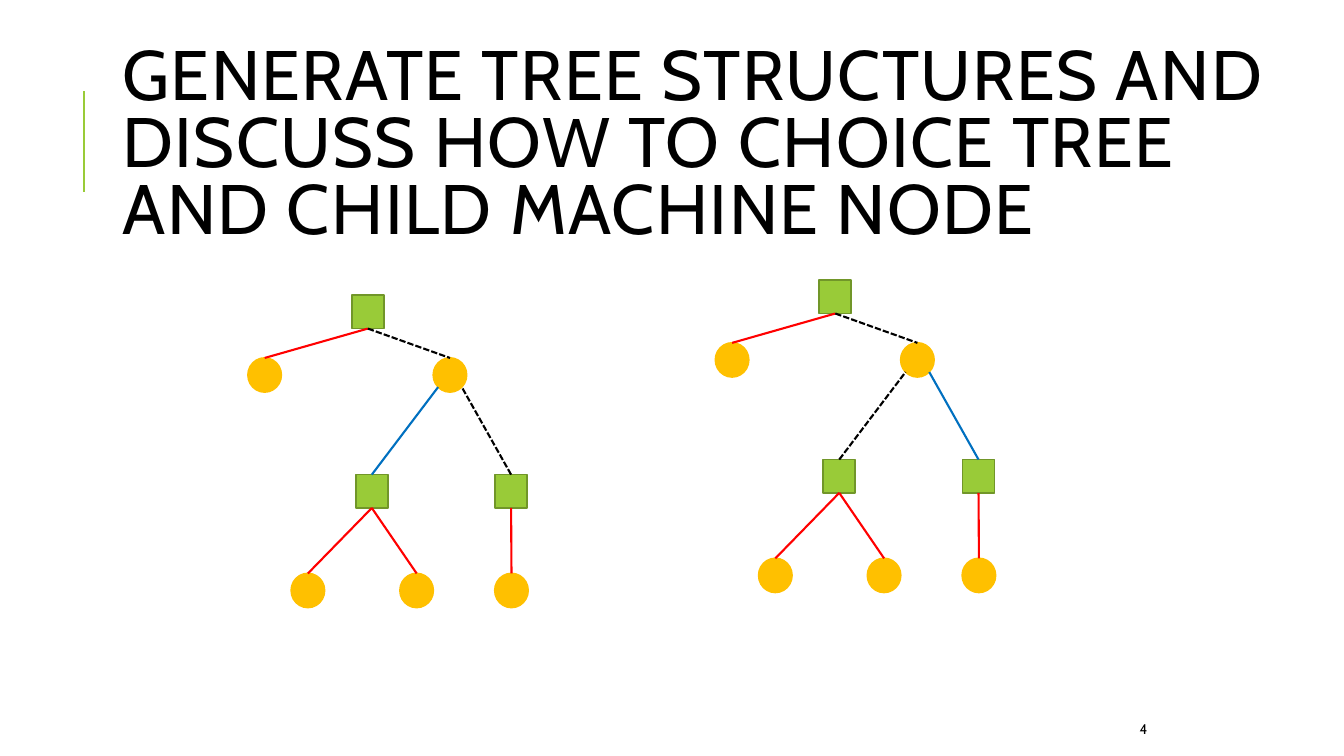
from dataclasses import dataclass

from lxml import etree
from pptx import Presentation
from pptx.dml.color import RGBColor
from pptx.enum.dml import MSO_LINE
from pptx.enum.shapes import MSO_CONNECTOR, MSO_SHAPE
from pptx.enum.text import MSO_ANCHOR
from pptx.oxml.ns import qn
from pptx.util import Cm, Pt

STRAIGHT = MSO_CONNECTOR.STRAIGHT
SQUARE = MSO_SHAPE.RECTANGLE
CIRCLE = MSO_SHAPE.OVAL
MIDDLE = MSO_ANCHOR.MIDDLE
SHORT_DASH = MSO_LINE.SQUARE_DOT


@dataclass(frozen=True)
class Theme:
    font: str = "Cabin"
    ink: str = "000000"
    green: str = "99CB38"
    dark_green: str = "719629"
    amber: str = "FFC000"
    red: str = "FF0000"
    blue: str = "0070C0"
    title_size: float = 50
    number_size: float = 10
    edge_width: float = 1.5
    outline_width: float = 1.25


# Node centres in cm, measured from the top left of a tree
NODES = {
    "root": (SQUARE, 3.02, 0.42),
    "left square": (SQUARE, 3.12, 4.94),
    "right square": (SQUARE, 6.63, 4.94),
    "right leaf": (CIRCLE, 6.64, 7.44),
    "outer leaf": (CIRCLE, 1.51, 7.44),
    "inner leaf": (CIRCLE, 4.25, 7.44),
    "branch": (CIRCLE, 5.09, 2.01),
    "top leaf": (CIRCLE, 0.42, 2.01),
}
NODE_SIZES = {SQUARE: (0.81, 0.84), CIRCLE: (0.84, 0.86)}
RED_EDGES = [
    ("root", "top leaf"),
    ("left square", "inner leaf"),
    ("left square", "outer leaf"),
    ("right square", "right leaf"),
]
DIAGONAL = 0.71  # share of the radius at 45 degrees


def add_text(box, text, *, font, size, color, line_spacing=None, space_after=None, tracking=None):
    """Write one formatted paragraph into a box."""
    para = box.text_frame.paragraphs[0]
    para.line_spacing = line_spacing
    para.space_after = space_after
    span = para.add_run()
    span.text = text
    span.font.name = font
    span.font.size = Pt(size)
    span.font.color.rgb = RGBColor.from_string(color)
    if tracking is not None:
        span.font._element.set("spc", str(round(tracking * 100)))


class SlideBuilder:
    def __init__(self, page, theme):
        self.page = page
        self.theme = theme

    def text_box(self, text, left, top, width, height, **text_format):
        box = self.page.shapes.add_textbox(Cm(left), Cm(top), Cm(width), Cm(height))
        box.text_frame.word_wrap = True
        box.text_frame.vertical_anchor = MIDDLE
        add_text(box, text, font=self.theme.font, color=self.theme.ink, **text_format)

    def line(self, start, end, color, dash=None):
        points = [Cm(value) for value in (*start, *end)]
        connector = self.page.shapes.add_connector(STRAIGHT, *points)
        connector.line.color.rgb = RGBColor.from_string(color)
        connector.line.width = Pt(self.theme.edge_width)
        if dash is not None:
            connector.line.dash_style = dash
        etree.SubElement(connector._element.spPr, qn("a:effectLst"))

    def node(self, kind, center_x, center_y):
        width, height = NODE_SIZES[kind]
        shape = self.page.shapes.add_shape(
            kind, Cm(center_x - width / 2), Cm(center_y - height / 2), Cm(width), Cm(height)
        )
        fill, outline = self.theme.amber, self.theme.amber
        if kind == SQUARE:
            fill, outline = self.theme.green, self.theme.dark_green
        shape.shadow.inherit = False
        shape.fill.solid()
        shape.fill.fore_color.rgb = RGBColor.from_string(fill)
        shape.line.color.rgb = RGBColor.from_string(outline)
        shape.line.width = Pt(self.theme.outline_width)

    def tree(self, left, top, chosen):
        """Draw a tree whose chosen square has the blue edge."""

        def anchor(name, across, down):
            kind, x, y = NODES[name]
            width, height = NODE_SIZES[kind]
            return left + x + across * width / 2, top + y + down * height / 2

        for name, (kind, _, _) in NODES.items():
            self.node(kind, *anchor(name, 0, 0))

        # Edges from the bottom of a square to the top of a circle
        for parent, child in RED_EDGES:
            self.line(anchor(parent, 0, 1), anchor(child, 0, -1), self.theme.red)
        self.line(anchor("root", 0, 1), anchor("branch", 0, -1), self.theme.ink, SHORT_DASH)

        # Edges from the branch circle to both squares
        for square, side in (("left square", -DIAGONAL), ("right square", DIAGONAL)):
            color, dash = self.theme.ink, SHORT_DASH
            if square == chosen:
                color, dash = self.theme.blue, None
            self.line(anchor(square, 0, -1), anchor("branch", side, DIAGONAL), color, dash)


def main():
    deck = Presentation()
    deck.slide_width, deck.slide_height = Cm(33.87), Cm(19.05)
    theme = Theme()
    builder = SlideBuilder(deck.slides.add_slide(deck.slide_layouts[6]), theme)

    # Accent line, page number and title
    builder.line((2.12, 4.83), (2.12, 2.29), theme.green)
    builder.text_box("4", 28.47, 17.98, 2.69, 0.76, size=theme.number_size, space_after=Pt(6))
    builder.text_box(
        "GENERATE TREE STRUCTURES AND DISCUSS HOW TO CHOICE TREE AND CHILD MACHINE NODE",
        2.84, 1.63, 29.97, 4.17,
        size=theme.title_size, line_spacing=0.8, tracking=1,
    )

    # The two trees
    builder.tree(6.25, 7.44, chosen="left square")
    builder.tree(18.03, 7.06, chosen="right square")

    deck.save("out.pptx")


if __name__ == "__main__":
    main()
